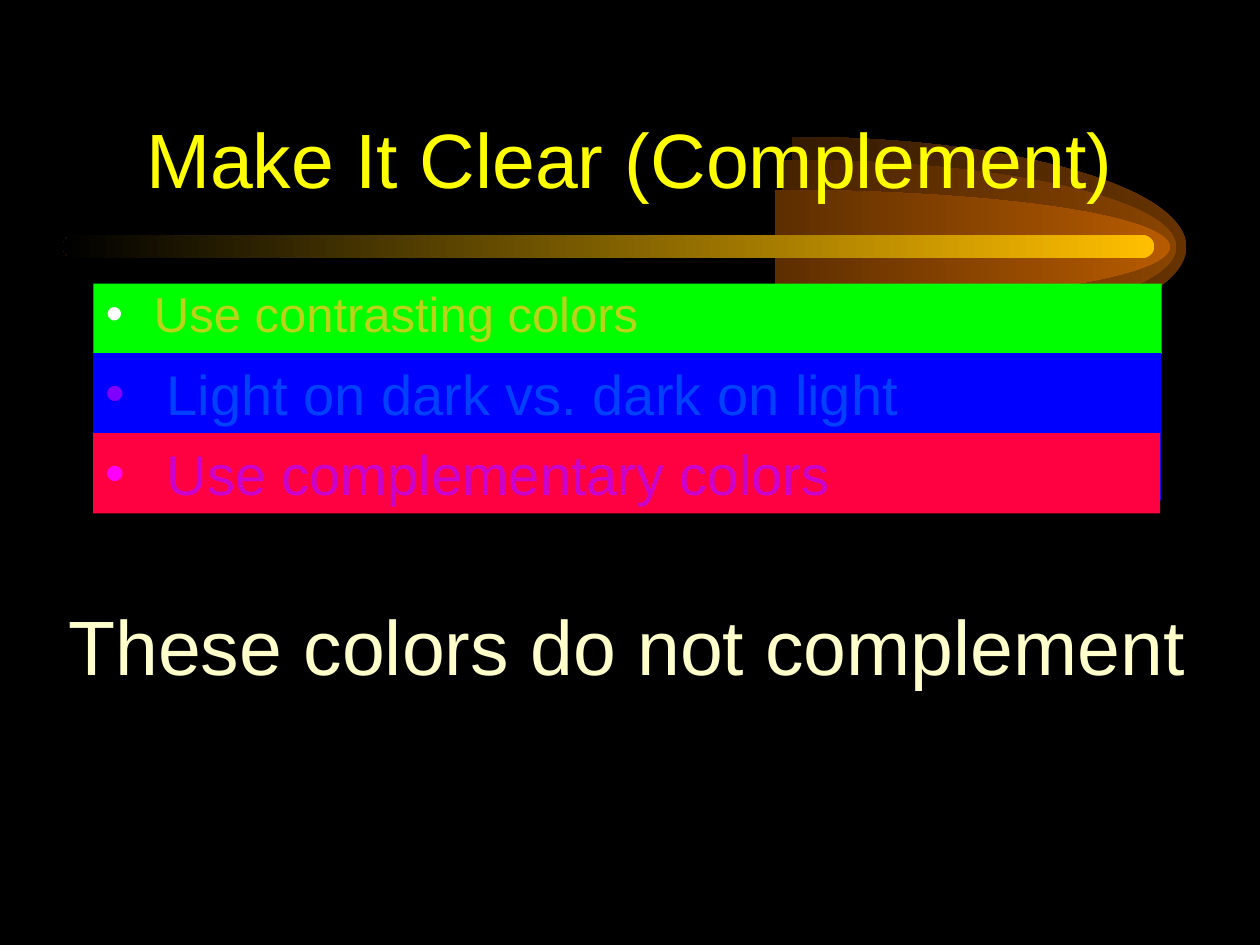
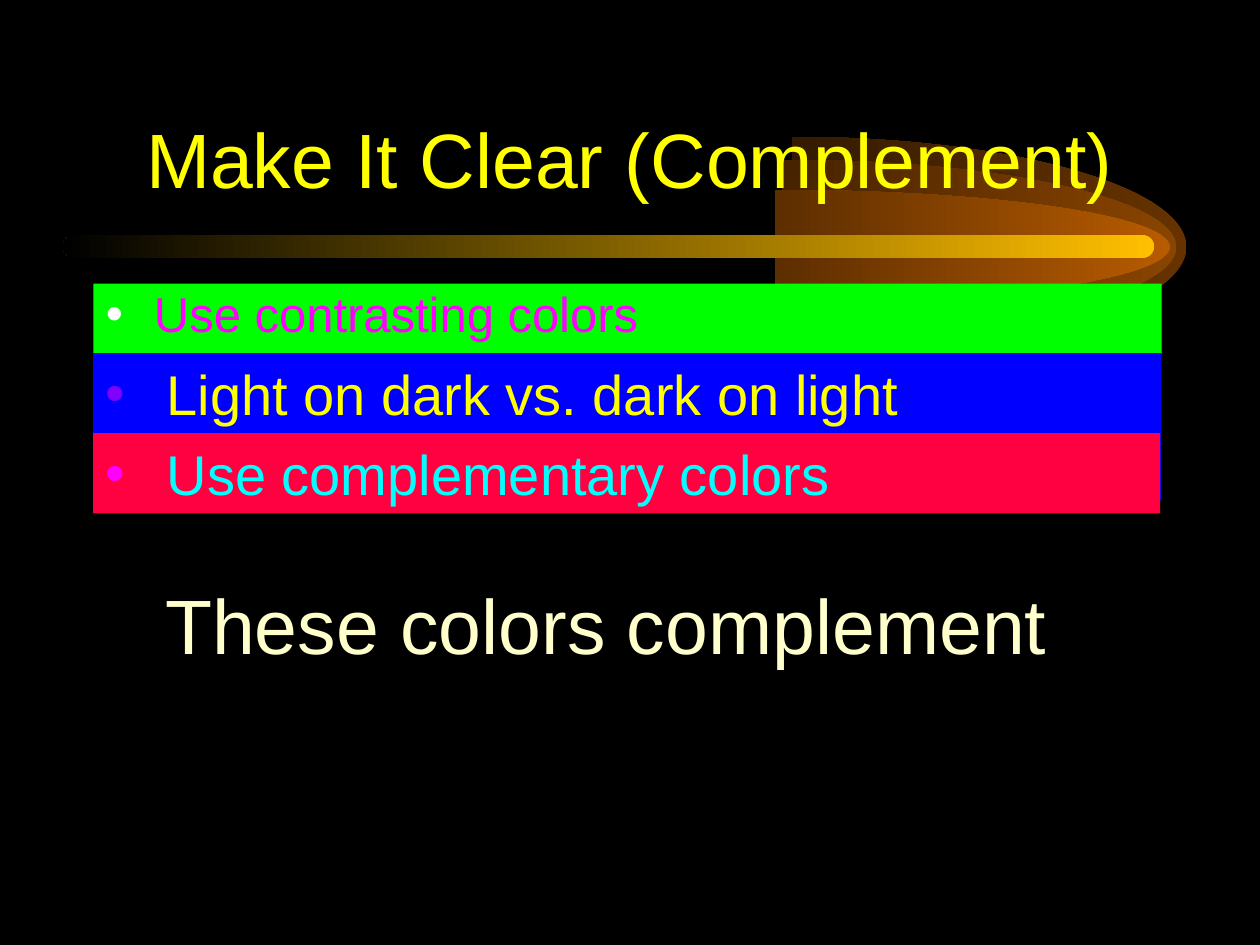
from dataclasses import dataclass

from lxml import etree
from pptx import Presentation
from pptx.dml.color import RGBColor
from pptx.enum import shapes, text
from pptx.oxml import ns
from pptx.util import Cm, Pt


@dataclass(frozen=True)
class Theme:
    font: str = "Arial"
    background: str = "000000"
    title: str = "FFFF00"
    verdict: str = "FFFFCC"
    beam: str = "FFBF00"
    heading_size: int = 44
    lead_size: int = 28
    point_size: int = 32


THEME = Theme()


@dataclass(frozen=True)
class Box:
    left: float
    top: float
    width: float
    height: float


@dataclass(frozen=True)
class GlowRing:
    center_x: float
    radius_y: float
    color: str


@dataclass(frozen=True)
class Band:
    wording: str
    box: Box
    fill: str
    bullet: str
    size: int
    indent: float
    line_spacing: float = 1.0


@dataclass(frozen=True)
class Example:
    text_colors: tuple[str, str, str]
    verdict: str
    verdict_box: Box


GLOW_CENTER_Y, GLOW_RADIUS_X = 4.98, 7.95
QUARTER_ARC = 0.55  # control-point reach of a quarter ellipse, in radii
GLOW_RINGS = (
    GlowRing(15.97, 2.22, "663300"),
    GlowRing(15.77, 1.76, "894400"),
    GlowRing(15.64, 1.15, "B75B00"),
)
BEAM_BOX = Box(1.27, 4.74, 22.0, 0.46)
TITLE = "Make It Clear (Complement)"
TITLE_BOX = Box(1.9, 1.07, 21.6, 3.17)
BANDS = (
    Band("Use contrasting colors", Box(1.88, 5.72, 21.54, 1.42),
         "00FF00", "FFFFFF", THEME.lead_size, 0.97, 0.9),
    Band("Light on dark vs. dark on light", Box(1.88, 7.12, 21.53, 2.97),
         "0000FF", "7F00FF", THEME.point_size, 1.23),
    Band("Use complementary colors", Box(1.88, 8.73, 21.51, 1.62),
         "FF0040", "FF00FF", THEME.point_size, 1.23),
)
EXAMPLES = (
    Example(("BAD41A", "0040FF", "CC00CC"),
            "These colors do not complement", Box(1.13, 11.94, 23.04, 2.13)),
    Example(("FF00FF", "FFFF00", "00FFFF"),
            "These colors complement", Box(3.08, 11.51, 18.29, 2.13)),
)


def lengths(box: Box) -> tuple[Cm, Cm, Cm, Cm]:
    return Cm(box.left), Cm(box.top), Cm(box.width), Cm(box.height)


def place(shape, box: Box) -> None:
    shape.left, shape.top, shape.width, shape.height = lengths(box)


def fade_left(shape, color: str) -> None:
    """Fill with a gradient from color at the right to the background."""
    shape.shadow.inherit = False
    shape.line.fill.background()
    shape.fill.gradient()
    shape.fill.gradient_angle = 180
    for stop, shade in zip(shape.fill.gradient_stops, (color, THEME.background)):
        stop.color.rgb = RGBColor.from_string(shade)


def curve_segments(shape) -> None:
    """Turn each three line segments of an outline into one cubic curve."""
    segments = list(shape._element.iter(ns.qn("a:lnTo")))
    for first in range(0, len(segments), 3):
        curve = etree.Element(ns.qn("a:cubicBezTo"))
        segments[first].addprevious(curve)
        for segment in segments[first:first + 3]:
            curve.append(segment[0])
            segment.getparent().remove(segment)


def draw_glow(slide, ring: GlowRing):
    """Draw the right half of an ellipse, its box spanning the whole ellipse."""
    def point(across: float, down: float) -> tuple[Cm, Cm]:
        return (Cm(ring.center_x + across * GLOW_RADIUS_X),
                Cm(GLOW_CENTER_Y + down * ring.radius_y))

    builder = slide.shapes.build_freeform(*point(-1, 0))
    builder.move_to(*point(0, -1))
    builder.add_line_segments([
        point(QUARTER_ARC, -1), point(1, -QUARTER_ARC), point(1, 0),
        point(1, QUARTER_ARC), point(QUARTER_ARC, 1), point(0, 1)])
    glow = builder.convert_to_shape()
    curve_segments(glow)
    fade_left(glow, ring.color)
    return glow


def decorate_layout(layout, slide) -> None:
    """Draw the comet on a slide, then move it to the layout all slides share."""
    comet = [draw_glow(slide, ring) for ring in GLOW_RINGS]
    beam = slide.shapes.add_shape(
        shapes.MSO_SHAPE.ROUNDED_RECTANGLE, *lengths(BEAM_BOX))
    beam.adjustments[0] = 0.5
    fade_left(beam, THEME.beam)
    for part in (*comet, beam):
        layout.shapes._spTree.append(part._element)


def write(shape, wording: str, size: int, color: str):
    """Set one formatted line of text and return its paragraph."""
    frame = shape.text_frame
    frame.text = wording
    paragraph = frame.paragraphs[0]
    paragraph.space_before = Pt(0)
    font = paragraph.runs[0].font
    font.name, font.size = THEME.font, Pt(size)
    font.color.rgb = RGBColor.from_string(color)
    return paragraph


def add_bullet(paragraph, color: str, indent: float) -> None:
    properties = paragraph._p.get_or_add_pPr()
    properties.set("marL", str(Cm(indent)))
    properties.set("indent", str(-Cm(indent)))
    bullet_color = etree.SubElement(properties, ns.qn("a:buClr"))
    etree.SubElement(bullet_color, ns.qn("a:srgbClr"), val=color)
    etree.SubElement(properties, ns.qn("a:buFont"), typeface=THEME.font)
    etree.SubElement(properties, ns.qn("a:buChar"), char="•")


def fill_band(shape, band: Band, text_color: str) -> None:
    shape.fill.solid()
    shape.fill.fore_color.rgb = RGBColor.from_string(band.fill)
    shape.line.fill.background()
    paragraph = write(shape, band.wording, band.size, text_color)
    add_bullet(paragraph, band.bullet, band.indent)
    paragraph.alignment = text.PP_ALIGN.LEFT
    paragraph.line_spacing = band.line_spacing
    shape.text_frame.vertical_anchor = text.MSO_ANCHOR.TOP
    shape.text_frame.auto_size = text.MSO_AUTO_SIZE.NONE


def add_point_band(slide, band: Band, text_color: str) -> None:
    rectangle = slide.shapes.add_shape(
        shapes.MSO_SHAPE.RECTANGLE, *lengths(band.box))
    rectangle.shadow.inherit = False
    fill_band(rectangle, band, text_color)


def fill_slide(slide, example: Example) -> None:
    title, lead = slide.shapes.title, slide.placeholders[1]
    place(title, TITLE_BOX)
    heading = write(title, TITLE, THEME.heading_size, THEME.title)
    heading.alignment = text.PP_ALIGN.CENTER
    title.text_frame.vertical_anchor = text.MSO_ANCHOR.BOTTOM

    lead_band, *point_bands = BANDS
    lead_color, *point_colors = example.text_colors
    place(lead, lead_band.box)
    fill_band(lead, lead_band, lead_color)
    for band, color in zip(point_bands, point_colors):
        add_point_band(slide, band, color)

    verdict = slide.shapes.add_textbox(*lengths(example.verdict_box))
    write(verdict, example.verdict, THEME.heading_size, THEME.verdict)
    verdict.text_frame.word_wrap = False


def main() -> None:
    deck = Presentation()
    deck.slide_width, deck.slide_height = Cm(25.4), Cm(19.05)
    backdrop = deck.slide_master.background.fill
    backdrop.solid()
    backdrop.fore_color.rgb = RGBColor.from_string(THEME.background)

    layout = deck.slide_layouts[1]
    slides = [deck.slides.add_slide(layout) for _ in EXAMPLES]
    decorate_layout(layout, slides[0])
    for slide, example in zip(slides, EXAMPLES):
        fill_slide(slide, example)
    deck.save("out.pptx")


if __name__ == "__main__":
    main()
